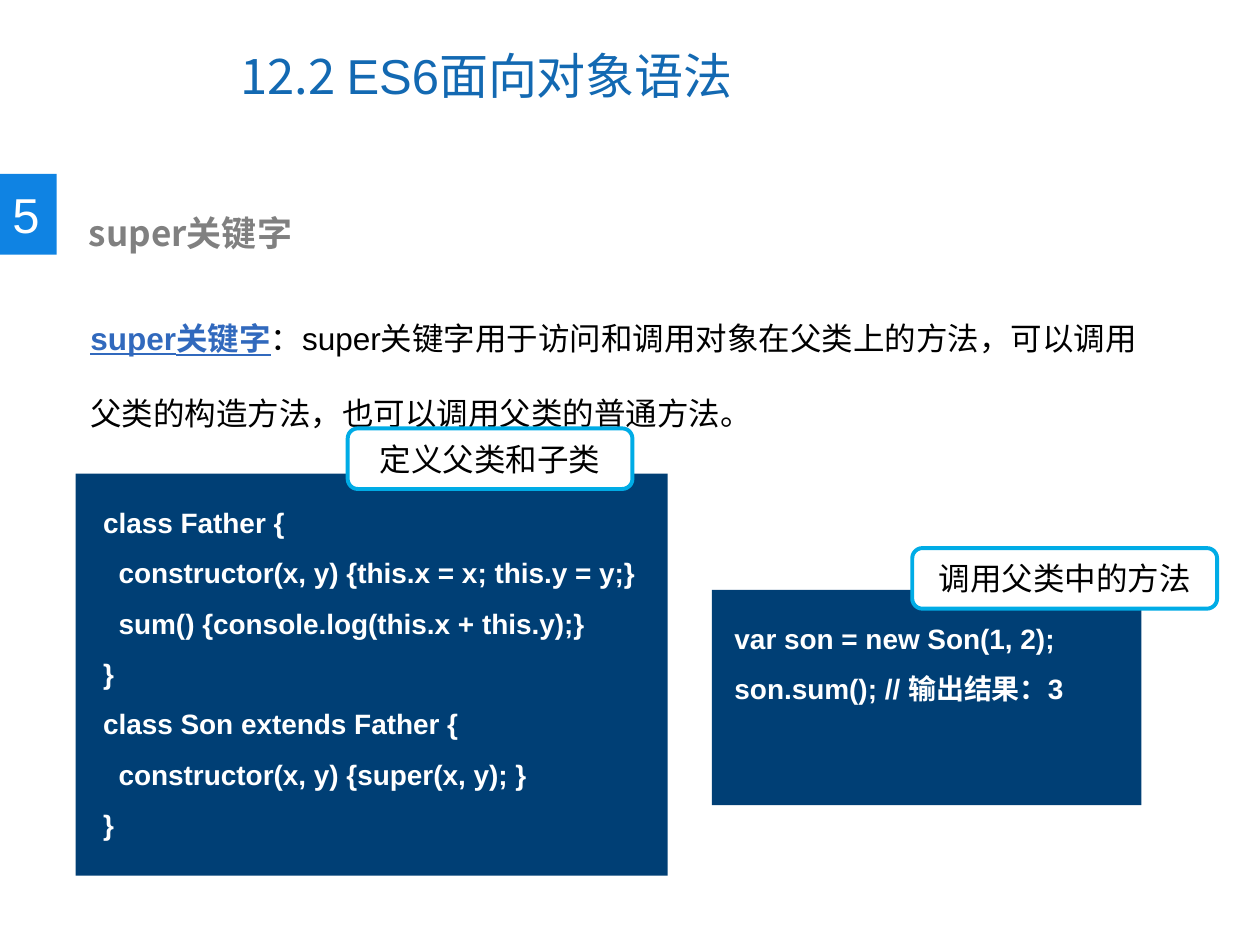
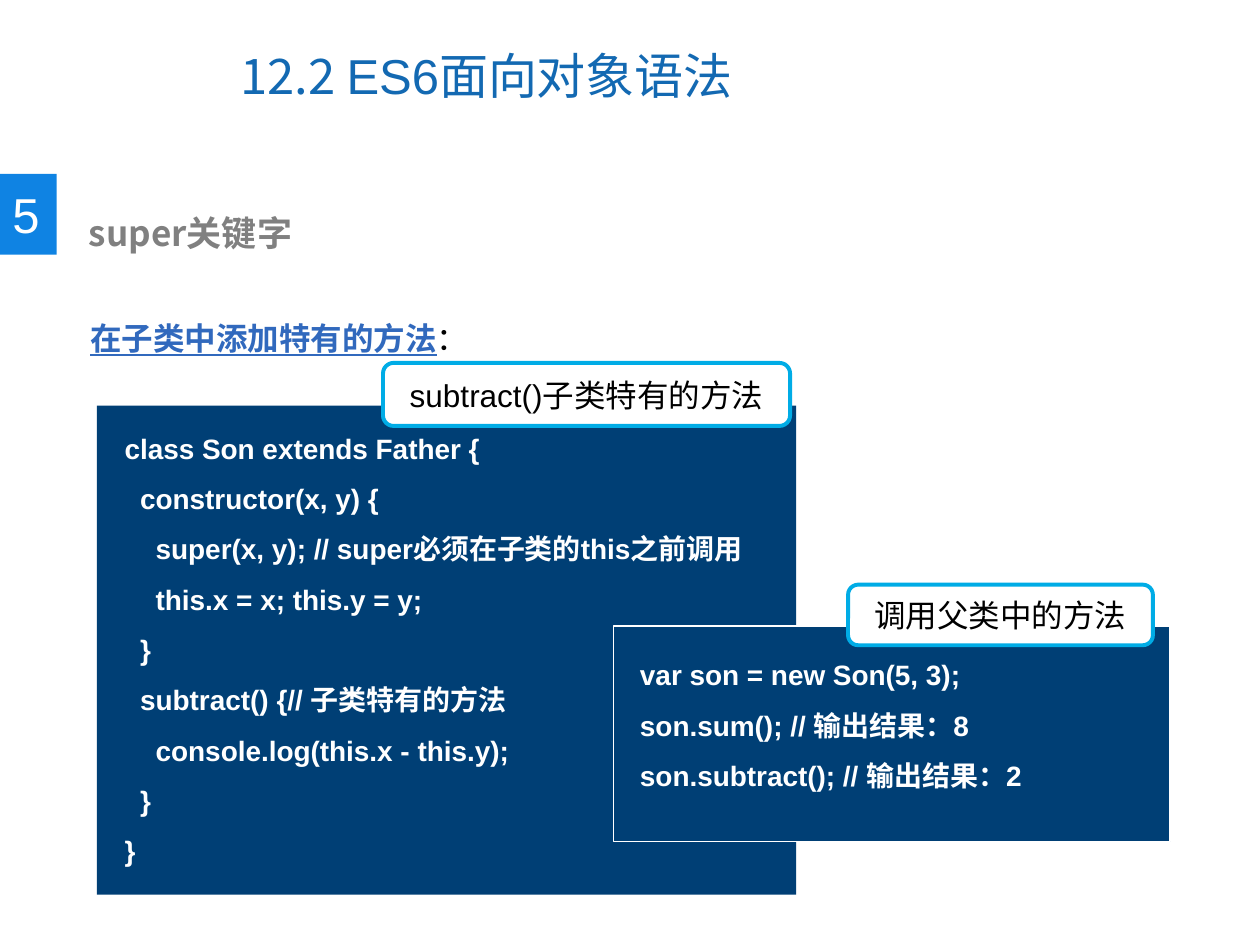
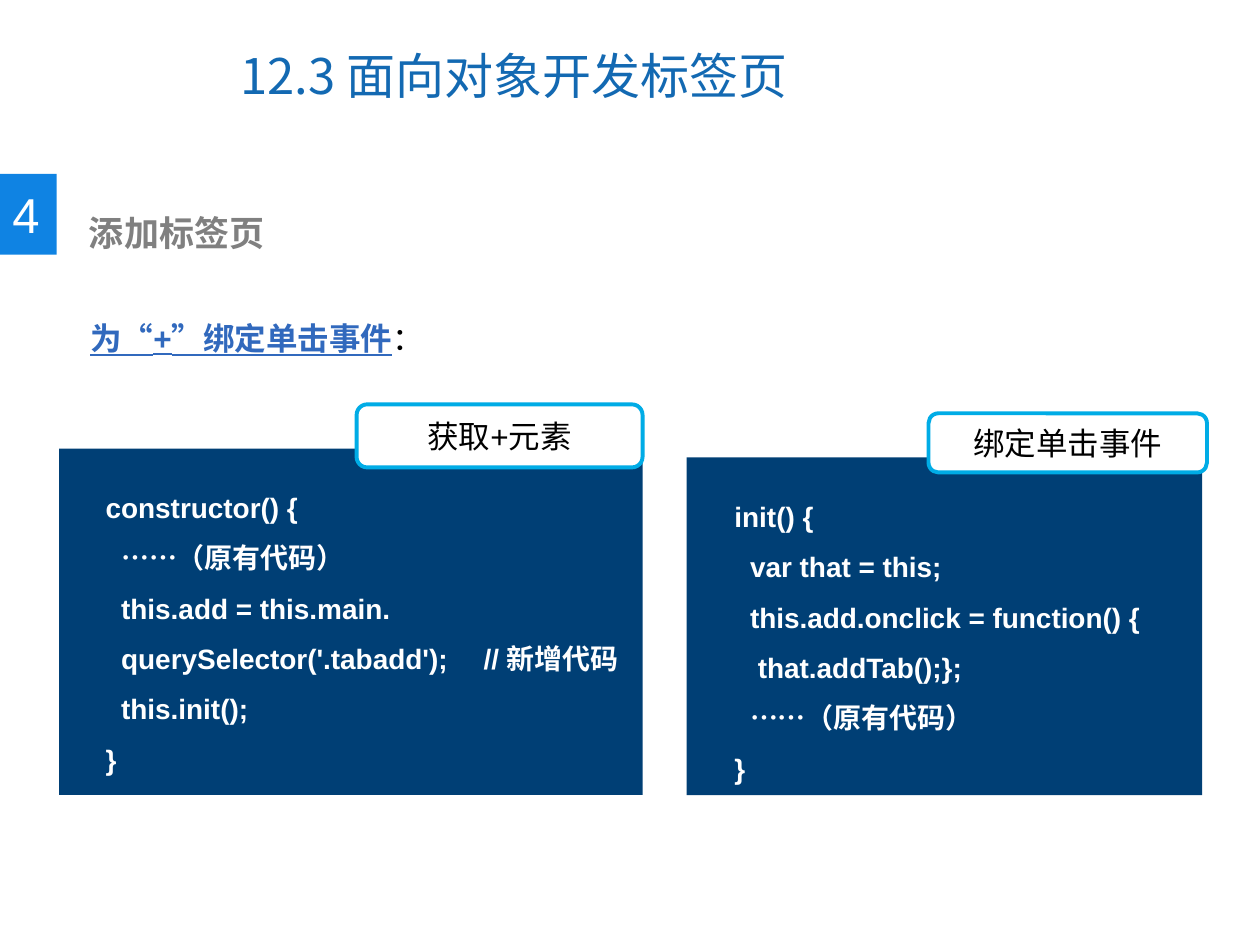
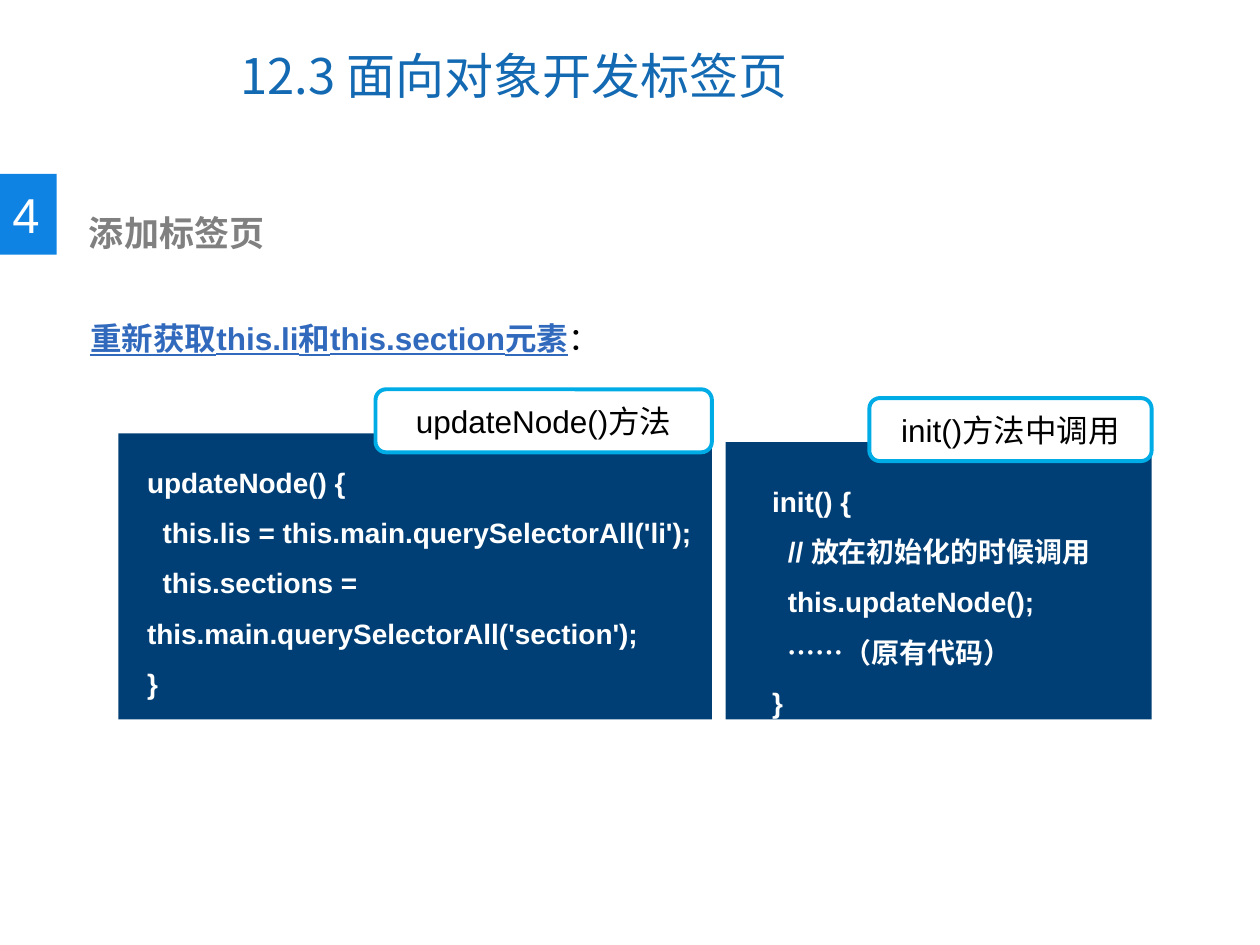
from dataclasses import dataclass
from typing import NamedTuple

from pptx import Presentation
from pptx.dml.color import RGBColor
from pptx.enum.shapes import MSO_SHAPE as Shape
from pptx.enum.text import MSO_ANCHOR as Anchor, MSO_AUTO_SIZE as AutoSize, PP_ALIGN as Align
from pptx.oxml.ns import qn
from pptx.util import Pt


@dataclass(frozen=True)
class Theme:
    latin: str = "Arial"
    cjk: str = "Noto Sans CJK SC"
    title: str = "1369B2"
    band: str = "0F83E3"
    heading: str = "808080"
    term: str = "3169BD"
    panel: str = "003F75"
    tag_line: str = "00ACE6"
    black: str = "000000"
    white: str = "FFFFFF"
    title_size: float = 28
    heading_size: float = 20
    body_size: float = 18
    code_size: float = 16
    code_space: float = 4.45  # width of one space in bold code


THEME = Theme()


class Box(NamedTuple):
    """Left, top, width and height in points."""
    x: float
    y: float
    w: float
    h: float


TITLE = Box(130.3, 12.2, 371.5, 61.2)
BAND = Box(0, 99.4, 32.4, 46.1)
NUMBER = Box(0, 102.2, 30.2, 41)
HEADING = Box(43.8, 117.4, 360, 31.7)


@dataclass(frozen=True)
class CodePanel:
    panel: Box
    text: Box
    tag: Box
    label: str
    code: str
    outlined: bool = False


@dataclass(frozen=True)
class Page:
    title: tuple[tuple[str, str], ...]  # (text, font)
    number: str
    heading: str
    term: str
    explanation: str
    body_height: float
    panels: tuple[CodePanel, ...]


def place(sp, box: Box) -> None:
    sp.left, sp.top, sp.width, sp.height = map(Pt, box)


def style(font, size: float, color: str, name: str = THEME.latin, bold: bool = False) -> None:
    font.size, font.bold, font.name = Pt(size), bold, name
    font.color.rgb = RGBColor.from_string(color)


def set_east_asian(p) -> None:
    """Use the CJK font for Chinese characters in every run."""
    for r in p.runs:
        rPr = r._r.get_or_add_rPr()
        ea = rPr.makeelement(qn("a:ea"), {"typeface": THEME.cjk})
        latin = rPr.find(qn("a:latin"))
        if latin is None:
            rPr.append(ea)
        else:
            latin.addnext(ea)


def add_shape(slide, kind, box: Box, fill: str, line: str = "", width: float = 1):
    sp = slide.shapes.add_shape(kind, *map(Pt, box))
    sp.shadow.inherit = False
    sp.fill.solid()
    sp.fill.fore_color.rgb = RGBColor.from_string(fill)
    if line:
        sp.line.color.rgb = RGBColor.from_string(line)
        sp.line.width = Pt(width)
    else:
        sp.line.fill.background()
    return sp


def add_text_frame(slide, box: Box, wrap: bool = True):
    tf = slide.shapes.add_textbox(*map(Pt, box)).text_frame
    tf.word_wrap = wrap
    tf.auto_size = AutoSize.SHAPE_TO_FIT_TEXT
    return tf


def add_line(slide, box: Box, text: str, size: float, color: str, name: str = THEME.latin,
             bold: bool = False, wrap: bool = True) -> None:
    p = add_text_frame(slide, box, wrap).paragraphs[0]
    p.text = text
    style(p.font, size, color, name, bold)
    set_east_asian(p)


def add_title(slide, parts: tuple[tuple[str, str], ...]) -> None:
    sp = slide.shapes.title
    place(sp, TITLE)
    tf = sp.text_frame
    tf.vertical_anchor = Anchor.MIDDLE
    p = tf.paragraphs[0]
    p.alignment = Align.LEFT
    for text, name in parts:
        r = p.add_run()
        r.text = text
        style(r.font, THEME.title_size, THEME.title, name)
    set_east_asian(p)


def add_body(slide, page: Page) -> None:
    p = add_text_frame(slide, Box(44.6, 157, 622.8, page.body_height)).paragraphs[0]
    p.line_spacing = 2.0
    for text, color, marked in ((page.term, THEME.term, True),
                                (page.explanation, THEME.black, False)):
        r = p.add_run()
        r.text = text
        style(r.font, THEME.body_size, color, bold=marked)
        r.font.underline = marked
    set_east_asian(p)


def add_code(slide, box: Box, code: str) -> None:
    """Write one paragraph per line, with leading spaces as first-line indents."""
    tf = add_text_frame(slide, box)
    for i, line in enumerate(code.strip().splitlines()):
        p = tf.add_paragraph() if i else tf.paragraphs[0]
        p.text = line.lstrip()
        p.line_spacing = 1.5
        spaces = len(line) - len(p.text)
        pPr = p._p.get_or_add_pPr()
        pPr.set("marL", "0")
        pPr.set("indent", str(Pt(spaces * THEME.code_space)))
        style(p.font, THEME.code_size, THEME.white, bold=True)
        set_east_asian(p)


def add_code_panel(slide, item: CodePanel) -> None:
    add_shape(slide, Shape.RECTANGLE, item.panel, THEME.panel,
              THEME.white if item.outlined else "")
    add_code(slide, item.text, item.code)
    tag = add_shape(slide, Shape.ROUNDED_RECTANGLE, item.tag, THEME.white, THEME.tag_line, 2.25)
    p = tag.text_frame.paragraphs[0]
    p.text = item.label
    p.alignment = Align.CENTER
    style(p.font, THEME.body_size, THEME.black)
    set_east_asian(p)


def add_page(prs, page: Page) -> None:
    slide = prs.slides.add_slide(prs.slide_layouts.get_by_name("Title Only"))
    add_title(slide, page.title)
    add_shape(slide, Shape.RECTANGLE, BAND, THEME.band)
    add_line(slide, NUMBER, page.number, THEME.title_size, THEME.white, wrap=False)
    add_line(slide, HEADING, page.heading, THEME.heading_size, THEME.heading, THEME.cjk, bold=True)
    add_body(slide, page)
    for item in page.panels:
        add_code_panel(slide, item)


SYNTAX_TITLE = (("12.2 ", THEME.cjk), ("ES6", THEME.latin), ("面向对象语法", THEME.cjk))
TABS_TITLE = (("12.3 面向对象开发标签页", THEME.cjk),)

PAGES = (
    Page(SYNTAX_TITLE, "5", "super关键字", "super关键字",
         "：super关键字用于访问和调用对象在父类上的方法，可以调用父类的构造方法，"
         "也可以调用父类的普通方法。", 94.3, (
             CodePanel(Box(43.2, 270.7, 338.4, 229.7), Box(51.8, 275.8, 329.8, 175.7),
                       Box(198.7, 244.8, 162.7, 34.6), "定义父类和子类", """
class Father {
  constructor(x, y) {this.x = x; this.y = y;}
  sum() {console.log(this.x + this.y);}
}
class Son extends Father {
  constructor(x, y) {super(x, y); }
}
"""),
             CodePanel(Box(406.8, 337, 245.5, 123.1), Box(412.6, 342, 310.3, 61.9),
                       Box(521.3, 313.2, 174.2, 34.6), "调用父类中的方法", """
var son = new Son(1, 2);
son.sum(); // 输出结果：3
"""),
         )),
    Page(SYNTAX_TITLE, "5", "super关键字", "在子类中添加特有的方法", "：", 43.9, (
        CodePanel(Box(55.4, 231.8, 399.6, 279.4), Box(64.1, 233.3, 391, 277.9),
                  Box(218.9, 207.4, 232.6, 36), "subtract()子类特有的方法", """
class Son extends Father {
  constructor(x, y) {
    super(x, y); // super必须在子类的this之前调用
    this.x = x; this.y = y;
  }
  subtract() {// 子类特有的方法
    console.log(this.x - this.y);
  }
}
"""),
        CodePanel(Box(350.6, 357.8, 318.2, 123.1), Box(358.6, 362.9, 310.3, 90.7),
                  Box(484.6, 334.1, 174.2, 34.6), "调用父类中的方法", """
var son = new Son(5, 3);
son.sum(); // 输出结果：8
son.subtract(); // 输出结果：2
""", outlined=True),
    )),
    Page(TABS_TITLE, "4", "添加标签页", "为“+”绑定单击事件", "：", 43.9, (
        CodePanel(Box(33.8, 256.3, 333.4, 198), Box(53.3, 267.1, 313.9, 181.4),
                  Box(203.8, 231.1, 163.4, 36), "获取+元素", """
constructor() {
  ……（原有代码）
  this.add = this.main.
  querySelector('.tabadd');\t// 新增代码
  this.init();
}
"""),
        CodePanel(Box(392.4, 261.4, 294.5, 193), Box(412.6, 272.2, 274.3, 181.4),
                  Box(530.6, 236.2, 159.1, 33.8), "绑定单击事件", """
init() {
  var that = this;
  this.add.onclick = function() {
   that.addTab();};
  ……（原有代码）
}
"""),
    )),
    Page(TABS_TITLE, "4", "添加标签页", "重新获取this.li和this.section元素", "：", 43.9, (
        CodePanel(Box(67.7, 247.7, 339.1, 163.4), Box(77, 252.7, 415, 152.6),
                  Box(214.6, 222.5, 192.2, 36), "updateNode()方法", """
updateNode() {
  this.lis = this.main.querySelectorAll('li');
  this.sections = this.main.querySelectorAll('section');
}
"""),
        CodePanel(Box(414.7, 252.7, 243.4, 158.4), Box(434.2, 263.5, 223.2, 152.6),
                  Box(496.8, 227.5, 161.3, 36), "init()方法中调用", """
init() {
  // 放在初始化的时候调用
  this.updateNode();
  ……（原有代码）
}
"""),
    )),
)


def main() -> None:
    prs = Presentation()
    prs.slide_width, prs.slide_height = Pt(720), Pt(540)
    for page in PAGES:
        add_page(prs, page)
    prs.save("out.pptx")


if __name__ == "__main__":
    main()
